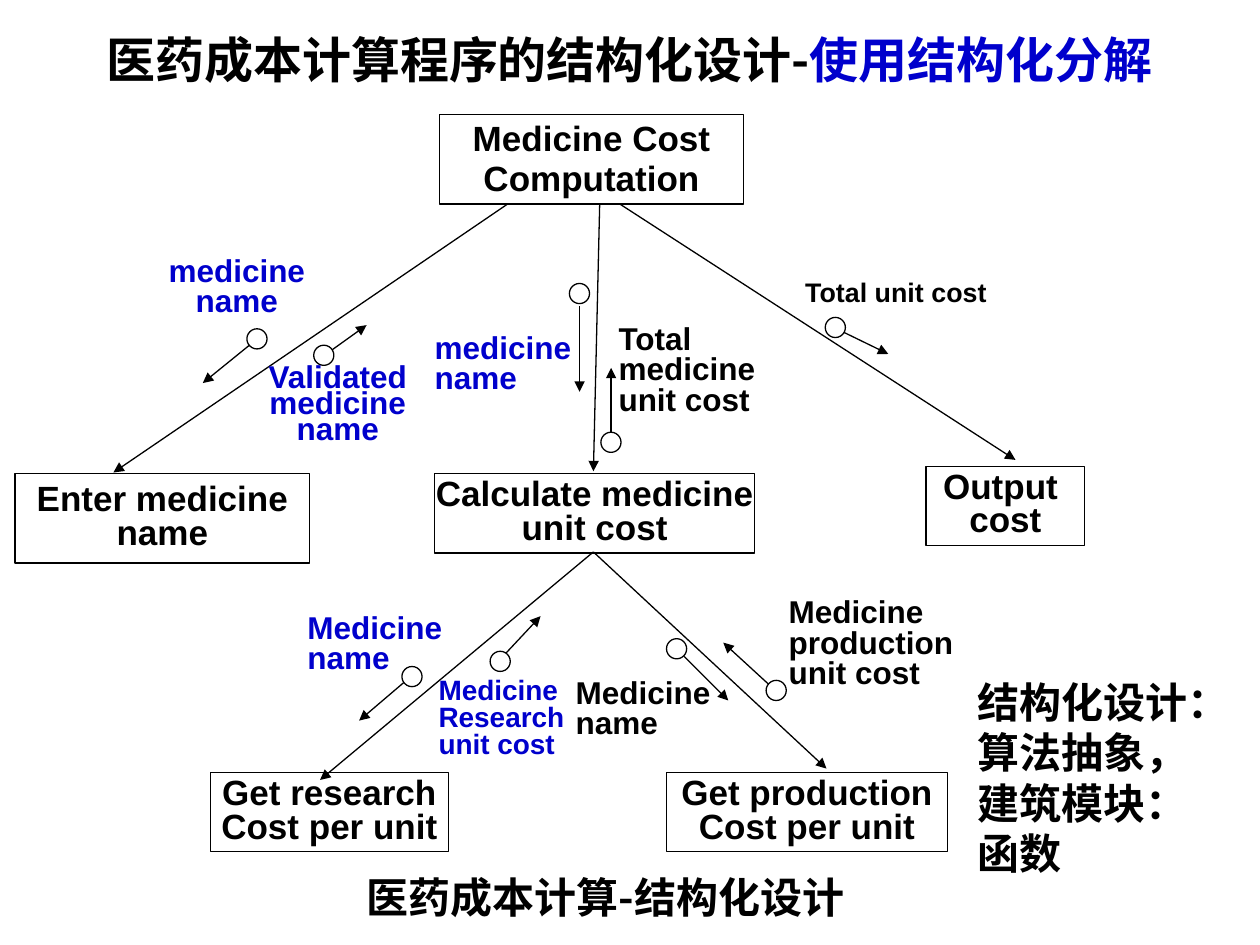
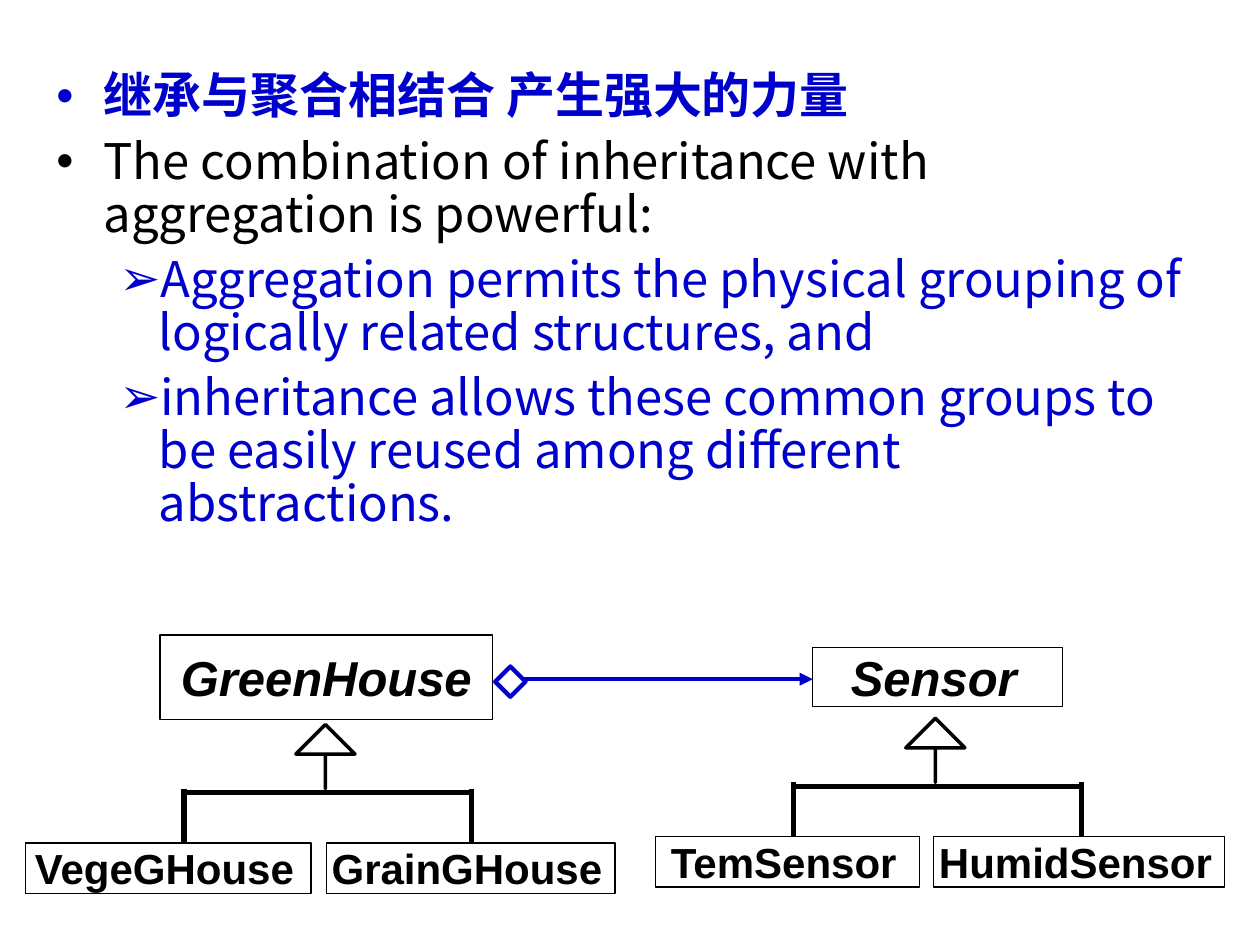
import pptx
import pptx.dml.color
import pptx.enum.shapes
import pptx.enum.text
import pptx.oxml
import pptx.oxml.ns
import pptx.util

Pt = pptx.util.Pt
qn = pptx.oxml.ns.qn
SHAPE = pptx.enum.shapes.MSO_SHAPE
ANCHOR = pptx.enum.text.MSO_ANCHOR
LEFT = pptx.enum.text.PP_ALIGN.LEFT
CENTER = pptx.enum.text.PP_ALIGN.CENTER

COLORS = {"black": "000000", "blue": "0000CC", "white": "FFFFFF"}
LATIN = "Arial"
CHINESE = "Noto Sans CJK SC"
FLUSH = (0, 0, 0, 0)
TIGHT = (4.3, 2.2, 4.3, 2.2)
ROOMY = (7.2, 3.6, 7.2, 3.6)
SHIFTED = (2.9, 0, 7.2, 0)
CIRCLE = 11.5


def color(name):
    return pptx.dml.color.RGBColor.from_string(COLORS[name])


def add_xml(parent, tag, **attributes):
    element = pptx.oxml.parse_xml(f"<a:{tag} {pptx.oxml.ns.nsdecls('a')}/>")
    for key, value in attributes.items():
        element.set(key, str(value))
    parent.append(element)
    return element


class Painter:
    def __init__(self):
        self.deck = pptx.Presentation()
        self.deck.slide_width = Pt(720)
        self.deck.slide_height = Pt(540)
        self.page = None

    def new_page(self):
        self.page = self.deck.slides.add_slide(self.deck.slide_layouts[6])

    def span(self, para, text, size, ink="black", font=LATIN, bold=True, italic=False):
        span = para.add_run()
        span.text = text
        span.font.name = font
        span.font.size = Pt(size)
        span.font.bold = bold
        span.font.italic = italic
        span.font.color.rgb = color(ink)
        add_xml(span.font._element, "ea", typeface=font)

    def frame(self, box, insets, anchor=ANCHOR.TOP, wrap=True):
        frame = box.text_frame
        frame.word_wrap = wrap
        frame.vertical_anchor = anchor
        (frame.margin_left, frame.margin_top,
         frame.margin_right, frame.margin_bottom) = map(Pt, insets)
        return frame

    def fill_text(self, frame, lines, size, align=LEFT, spacing=1.0, **style):
        """Each line becomes a paragraph of one run."""
        for index, line in enumerate(lines):
            para = frame.add_paragraph() if index else frame.paragraphs[0]
            para.alignment = align
            para.line_spacing = spacing
            self.span(para, line, size, **style)

    def text(self, area, lines, size, insets=TIGHT, **style):
        box = self.page.shapes.add_textbox(*map(Pt, area))
        frame = self.frame(box, insets)
        self.fill_text(frame, lines, size, **style)
        return frame

    def shape(self, kind, area, ink="black", width=0.75):
        shape = self.page.shapes.add_shape(kind, *map(Pt, area))
        shape.shadow.inherit = False
        shape.fill.solid()
        shape.fill.fore_color.rgb = color("white")
        shape.line.color.rgb = color(ink)
        shape.line.width = Pt(width)
        return shape

    def box(self, area, lines, size=20, insets=FLUSH, spacing=1.0, wrap=True, **style):
        shape = self.shape(SHAPE.RECTANGLE, area)
        frame = self.frame(shape, insets, ANCHOR.MIDDLE, wrap)
        self.fill_text(frame, lines, size, CENTER, spacing, **style)

    def line(self, start, end, ink="black", width=0.75, arrow=True):
        line = self.page.shapes.add_connector(
            pptx.enum.shapes.MSO_CONNECTOR.STRAIGHT, *map(Pt, (*start, *end)))
        line.line.color.rgb = color(ink)
        line.line.width = Pt(width)
        properties = line._element.spPr
        if arrow:
            add_xml(properties.find(qn("a:ln")), "tailEnd", type="triangle")
        add_xml(properties, "effectLst")

    def data_flow(self, circle, start, end):
        """Draw the small circle and arrow that mark data passed between modules."""
        self.line(start, end)
        self.shape(SHAPE.OVAL, (*circle, CIRCLE, CIRCLE))

    def bullet(self, para, mark, ink, left, hang):
        properties = para._p.get_or_add_pPr()
        properties.set("marL", str(Pt(left)))
        properties.set("indent", str(-Pt(hang)))
        add_xml(add_xml(properties, "buClr"), "srgbClr", val=COLORS[ink])
        add_xml(properties, "buFont", typeface=LATIN)
        add_xml(properties, "buChar", char=mark)

    def inheritance(self, left, top):
        """Draw a hollow arrow above a bar with two legs; left, top start the bar."""
        right = left + 164.5
        self.line((left, top), (right, top), width=3, arrow=False)
        for x in (left, right):
            self.line((x, top - 2.2), (x, top + 34.6), width=3, arrow=False)
        arrow = self.shape(SHAPE.UP_ARROW, (left + 64, top - 38.9, 33.8, 36.7), width=2)
        arrow.adjustments[0] = 0
        arrow.adjustments[1] = 0.5


def structured_design(painter):
    painter.new_page()
    modules = [
        ((8.6, 270.7, 168.5, 51.1), ["Enter medicine name"]),
        ((248.4, 270.7, 182.9, 45.4), ["Calculate medicine", "unit cost"]),
        ((529.2, 266.4, 90.7, 45.4), ["Output ", "cost"]),
        ((380.9, 441.4, 160.6, 45.4), ["Get production", "Cost per unit"]),
        ((120.2, 441.4, 136.1, 45.4), ["Get research", "Cost per unit"]),
    ]
    for area, lines in modules:
        painter.box(area, lines, spacing=0.8)

    calls = [
        ((297.4, 111.6), (64.8, 270)),
        ((342.7, 116.6), (339.1, 269.3)),
        ((354.2, 116.6), (580.3, 262.8)),
        ((339.1, 315.4), (182.9, 445.7)),
        ((339.1, 315.4), (472.3, 439.2)),
    ]
    for start, end in calls:
        painter.line(start, end)
    painter.box((251.3, 65.5, 173.5, 51.1), ["Medicine Cost Computation"],
                insets=TIGHT, spacing=0.96)

    flows = [
        ((280.1, 372.2), (288.7, 373.7), (308.9, 352.1)),
        ((343.4, 247), (349.2, 247), (349.2, 210.2)),
        ((380.9, 365), (391, 375.1), (416.2, 400.3)),
        ((325.4, 162), (331.2, 175), (331.2, 223.9)),
        ((437.8, 388.8), (439.2, 391), (413.3, 367.2)),
        ((471.6, 181.4), (479.5, 188.6), (507.6, 202.3)),
        ((229.7, 380.9), (239, 383), (205.2, 411.8)),
        ((179.3, 197.3), (189.4, 200.2), (209.5, 185.8)),
        ((141.1, 187.9), (150.5, 190.8), (115.9, 218.9)),
    ]
    for circle, start, end in flows:
        painter.data_flow(circle, start, end)

    labels = [
        ((250.6, 388.1, 87.1, 46.1), ["Medicine", "Research", "unit cost"], 16,
         FLUSH, LEFT, 0.8, "blue"),
        ((349.2, 184.3, 88.6, 63.4), ["Total", "medicine", "unit cost"], 18,
         TIGHT, LEFT, 0.8, "black"),
        ((324.7, 386.6, 96.5, 41.8), ["Medicine name"], 18, TIGHT, LEFT, 0.8, "black"),
        ((248.4, 191.5, 90.7, 34.6), ["medicine", "name"], 18, FLUSH, LEFT, 0.8, "blue"),
        ((450.7, 342.7, 100.1, 51.8), ["Medicine production", "unit cost"], 18,
         FLUSH, LEFT, 0.8, "black"),
        ((455.8, 155.5, 132.5, 23.8), ["Total unit cost"], 15.3, TIGHT, LEFT, 1.0, "black"),
        ((171.4, 349.2, 96.5, 41.8), ["Medicine name"], 18, TIGHT, LEFT, 0.8, "blue"),
        ((139, 207.4, 108, 54), ["Validated", "medicine", "name"], 18,
         TIGHT, CENTER, 0.7, "blue"),
        ((86.4, 145.4, 97.9, 39.6), ["medicine", "name"], 18, TIGHT, CENTER, 0.8, "blue"),
    ]
    for area, lines, size, insets, align, spacing, ink in labels:
        painter.text(area, lines, size, insets, align=align, spacing=spacing, ink=ink)

    painter.text((54, 494.6, 583.9, 36), ["医药成本计算-结构化设计"], 24, ROOMY,
                 align=CENTER, font=CHINESE)
    painter.text((558.7, 383, 139, 122.4), ["结构化设计：算法抽象，", "建筑模块：", "函数"],
                 24, (0, 3.6, 0, 3.6), font=CHINESE)
    title = painter.text((25.2, 17.3, 668.9, 37.4), ["医药成本计算程序的结构化设计-"], 28,
                         ROOMY, align=CENTER, spacing=0.9, font=CHINESE)
    painter.span(title.paragraphs[0], "使用结构化分解", 28, "blue", CHINESE)


def inheritance_with_aggregation(painter):
    painter.new_page()
    body = painter.page.shapes.add_textbox(*map(Pt, (25.2, 37.4, 669.6, 295.2)))
    frame = painter.frame(body, ROOMY)
    outer = ("•", 27, 27)
    inner = ("➢", 58.5, 22.5)
    points = [
        (outer, "blue", True, "继承与聚合相结合 产生强大的力量"),
        (outer, "black", False,
         "The combination of inheritance with aggregation is powerful:"),
        (inner, "blue", False, "Aggregation permits the physical grouping of "
         "logically related structures, and"),
        (inner, "blue", False, "inheritance allows these common groups to be easily "
         "reused among different abstractions."),
    ]
    for index, ((mark, left, hang), ink, bold, words) in enumerate(points):
        para = frame.add_paragraph() if index else frame.paragraphs[0]
        painter.bullet(para, mark, ink, left, hang)
        para.line_spacing = 0.9
        if index:
            para.space_before = Pt(7)
        painter.span(para, words, 28, ink, CHINESE, bold)

    painter.line((288.7, 388.1), (464.4, 388.1), "blue", 2.5)
    painter.shape(SHAPE.DIAMOND, (283, 380.9, 17.3, 17.3), "blue", 2.5)
    for left, top in ((105.1, 452.9), (453.6, 449.3)):
        painter.inheritance(left, top)

    classes = [
        ((91.4, 362.9, 190.1, 48.2), "GreenHouse", 28, ROOMY),
        ((464.4, 370.1, 142.6, 33.8), "Sensor", 28, SHIFTED),
        ((14.4, 481.7, 163.4, 28.8), "VegeGHouse", 24, SHIFTED),
        ((186.5, 481.7, 164.9, 28.8), "GrainGHouse", 24, SHIFTED),
        ((374.4, 478.1, 151.2, 28.8), "TemSensor", 24, SHIFTED),
        ((533.5, 478.1, 166.3, 28.8), "HumidSensor", 24, SHIFTED),
    ]
    for area, name, size, insets in classes:
        painter.box(area, [name], size, insets, wrap=False, italic=size == 28)


def main():
    painter = Painter()
    structured_design(painter)
    inheritance_with_aggregation(painter)
    painter.deck.save("out.pptx")


if __name__ == "__main__":
    main()
